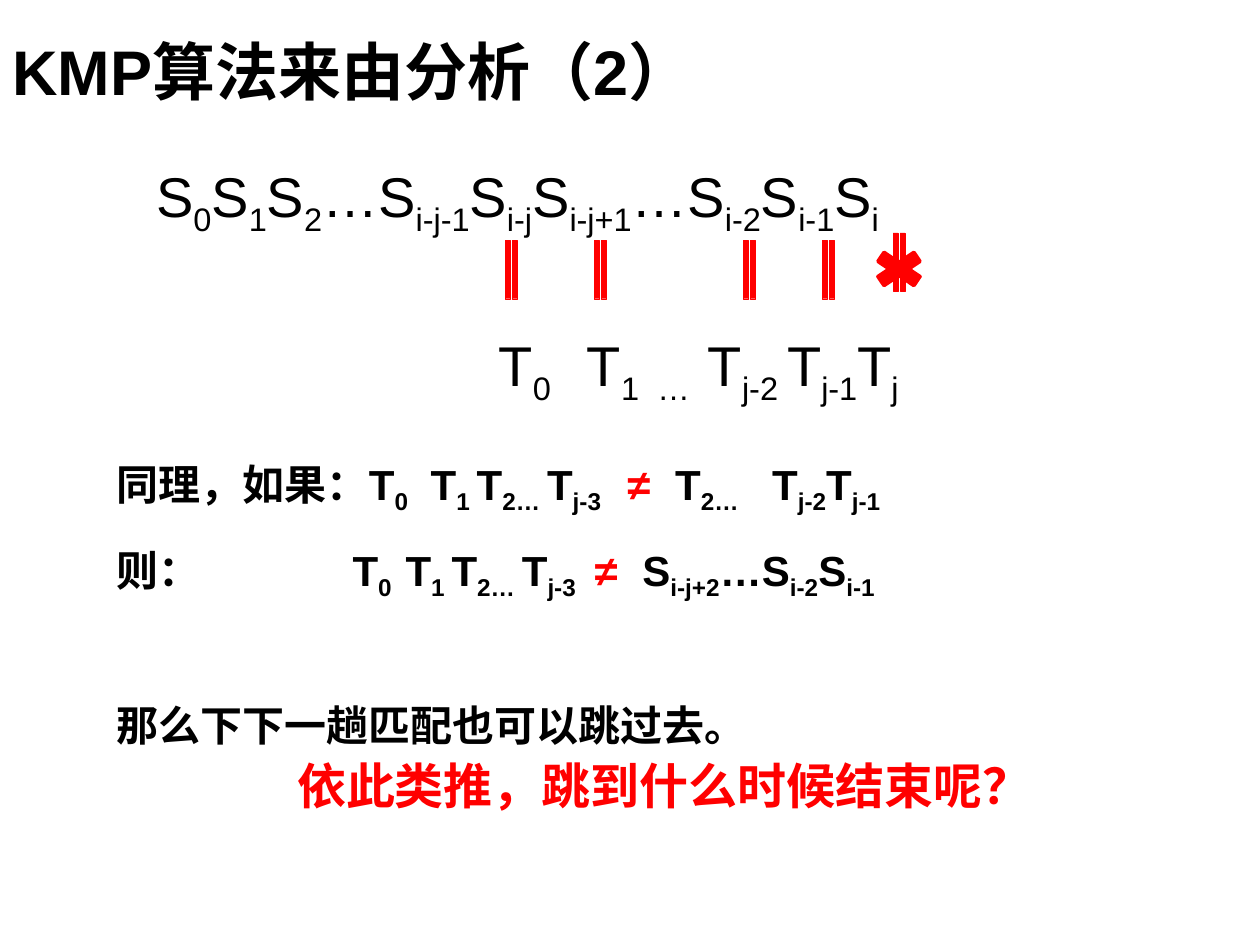
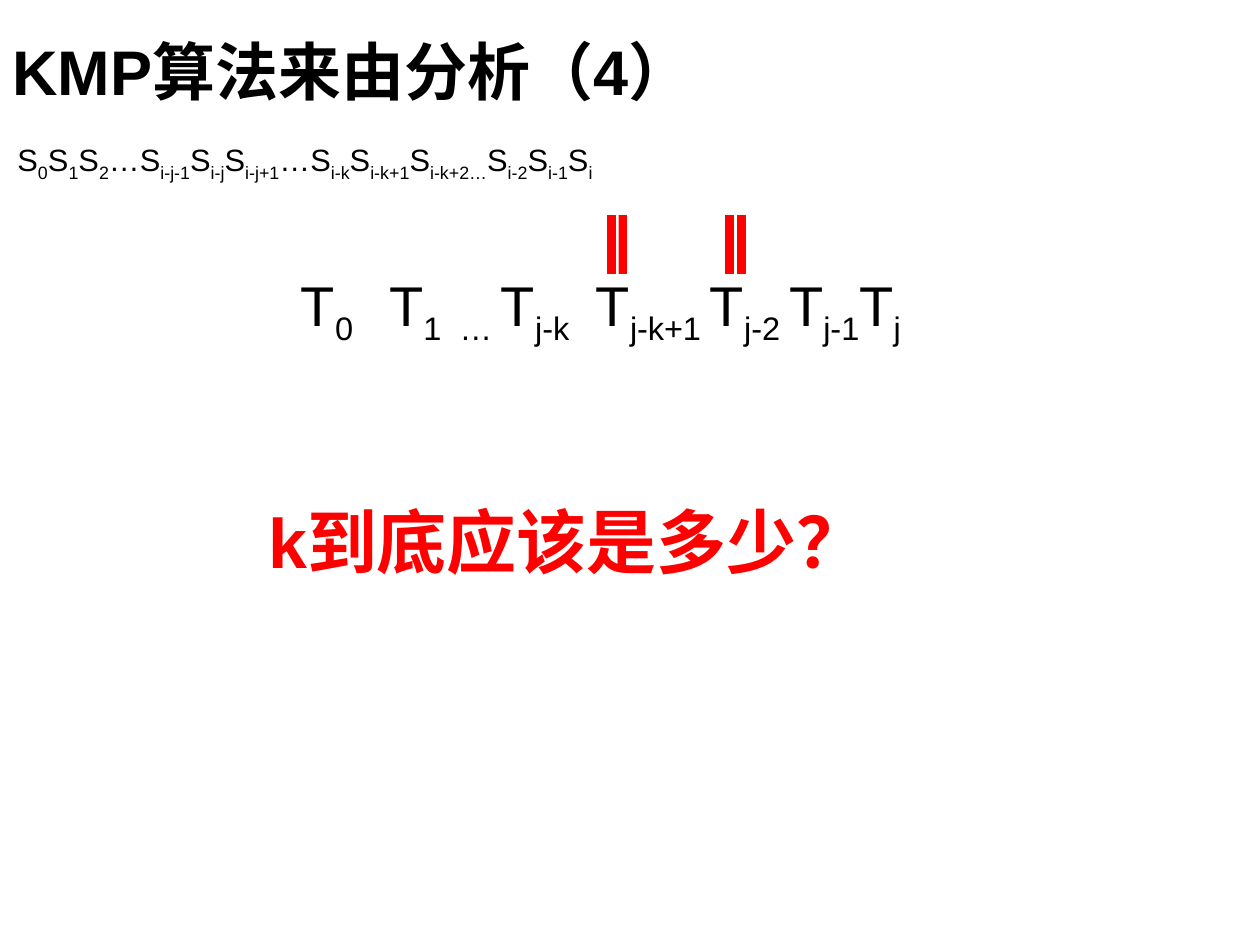
from dataclasses import dataclass

from lxml import etree
from pptx import Presentation
from pptx.dml.color import RGBColor
from pptx.enum.shapes import MSO_SHAPE
from pptx.enum.text import MSO_AUTO_SIZE
from pptx.oxml.ns import qn
from pptx.util import Inches, Pt

EQUAL = MSO_SHAPE.MATH_EQUAL
MULTIPLY = MSO_SHAPE.MATH_MULTIPLY
FIT_SHAPE = MSO_AUTO_SIZE.SHAPE_TO_FIT_TEXT
BLANK_LAYOUT = 6


@dataclass(frozen=True)
class Theme:
    font: str = "Arial"
    ink: RGBColor = RGBColor(0, 0, 0)
    accent: RGBColor = RGBColor(255, 0, 0)
    title: float = 36
    question: float = 40
    formula: float = 32
    prompt: float = 28
    body: float = 24
    small_formula: float = 17.6
    subscript: str = "-25000"


THEME = Theme()


# Text: "|" switches between normal text and subscript
def add_runs(paragraph, markup):
    for index, part in enumerate(markup.split("|")):
        for piece in part.partition("≠"):
            if not piece:
                continue
            run = paragraph.add_run()
            run.text = piece
            if index % 2:
                run.font._element.set("baseline", THEME.subscript)
            if piece == "≠":
                run.font.color.rgb = THEME.accent


def set_tabs(paragraph, stops):
    tab_list = etree.SubElement(paragraph._p.get_or_add_pPr(), qn("a:tabLst"))
    for stop in stops:
        etree.SubElement(tab_list, qn("a:tab"), pos=str(Inches(stop)), algn="l")


def add_text(slide, box, lines, size, bold=False, color=THEME.ink, line_spacing=None, grow=True):
    """Each line is (markup, tab stops, space before in points)."""
    frame = slide.shapes.add_textbox(*map(Inches, box)).text_frame
    frame.word_wrap = True
    frame.margin_right = 0
    if grow:
        frame.auto_size = FIT_SHAPE
    for index, (markup, stops, space_before) in enumerate(lines):
        paragraph = frame.add_paragraph() if index else frame.paragraphs[0]
        if stops:
            set_tabs(paragraph, stops)
        if line_spacing:
            paragraph.line_spacing = line_spacing
        paragraph.space_before = Pt(space_before)
        font = paragraph.font
        font.name, font.size, font.bold = THEME.font, Pt(size), bold
        font.color.rgb = color
        add_runs(paragraph, markup)


def add_title(slide, number):
    add_text(slide, (0, 0.21, 5.95, 0.7), [(f"KMP算法来由分析（{number}）", (), 0)],
             THEME.title, bold=True)


# Match and mismatch signs between the two strings
def add_sign(slide, kind, box, line_width, rotation=0):
    sign = slide.shapes.add_shape(kind, *map(Inches, box))
    sign.rotation = rotation
    sign.shadow.inherit = False
    sign.fill.solid()
    sign.fill.fore_color.rgb = THEME.accent
    sign.line.color.rgb = THEME.accent
    sign.line.width = Pt(line_width)


def add_match(slide, left, top, thickness):
    add_sign(slide, EQUAL, (left, top, 0.63, thickness), 0.25, rotation=90)


def build_mismatch_slide(slide):
    # Aligned strings
    add_text(slide, (1.14, 1.23, 6.77, 2.05), [
        ("S|0|S|1|S|2|…S|i-j-1|S|i-j|S|i-j+1|…S|i-2|S|i-1|S|i", (), 8),
        ("\tT|0\t|T|1\t…\t|T|j-2 |T|j-1|T|j", (2.72, 3.42, 3.98, 4.38), 53),
    ], THEME.formula, grow=False)
    add_sign(slide, MULTIPLY, (6.86, 1.95, 0.55, 0.37), 2)
    for left in (3.74, 4.45, 5.63, 6.26):
        add_match(slide, left, 2.06, 0.16)

    # Argument
    add_text(slide, (0.83, 3.36, 7.38, 2.75), [
        ("同理，如果：T|0\t|T|1 |T|2… |T|j-3\t|≠\tT|2…\t|T|j-2|T|j-1",
         (2.49, 4.05, 4.43, 5.2), 0),
        ("则：\tT|0\t|T|1 |T|2… |T|j-3\t|≠\tS|i-j+2|…S|i-2|S|i-1",
         (1.87, 2.29, 3.79, 4.17), 0),
        ("那么下下一趟匹配也可以跳过去。", (), 41.4),
    ], THEME.body, bold=True, line_spacing=1.5)
    add_match(slide, 6.82, 2, 0.16)
    add_title(slide, 2)
    add_text(slide, (2.26, 5.95, 6.52, 0.57), [("依此类推，跳到什么时候结束呢？", (), 0)],
             THEME.prompt, bold=True, color=THEME.accent)


def build_question_slide(slide):
    # Aligned strings
    add_text(slide, (0.04, 1.07, 9.77, 0.86), [
        ("S|0|S|1|S|2|…S|i-j-1|S|i-j|S|i-j+1|…S|i-k|S|i-k+1|S|i-k+2…|S|i-2|S|i-1|S|i", (), 8),
    ], THEME.small_formula, grow=False)
    add_text(slide, (2.29, 2.1, 4.96, 0.71), [
        ("T|0\t|T|1\t… |T|j-k\t|T|j-k+1 |T|j-2 |T|j-1|T|j", (0.7, 1.26, 2.34), 0),
    ], THEME.formula)
    for left in (4.58, 5.52):
        add_match(slide, left, 1.81, 0.26)

    # Question
    add_text(slide, (2.03, 3.91, 5.08, 0.77), [("k到底应该是多少？", (), 0)],
             THEME.question, bold=True, color=THEME.accent)
    add_title(slide, 4)


def main():
    deck = Presentation()
    deck.slide_width, deck.slide_height = Inches(10), Inches(7.5)
    for build in (build_mismatch_slide, build_question_slide):
        build(deck.slides.add_slide(deck.slide_layouts[BLANK_LAYOUT]))
    deck.save("out.pptx")


if __name__ == "__main__":
    main()
